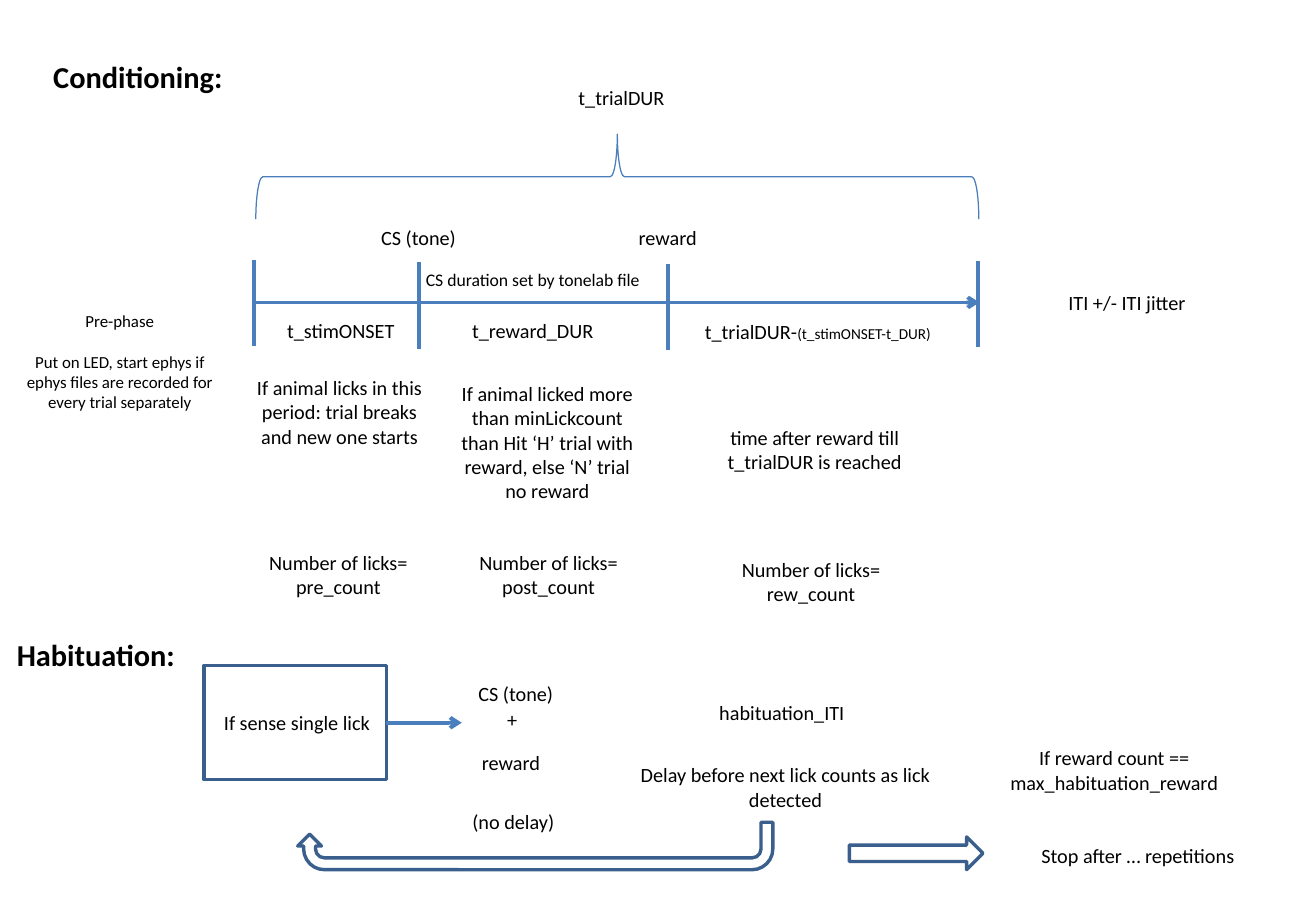
from lxml.etree import SubElement
from pptx import Presentation
from pptx.dml.color import RGBColor
from pptx.enum.shapes import MSO_CONNECTOR, MSO_SHAPE
from pptx.enum.text import PP_ALIGN
from pptx.oxml.ns import qn
from pptx.util import Emu, Pt

PX = 9144
BLACK = RGBColor(0x00, 0x00, 0x00)
BLUE = RGBColor(0x4B, 0x7E, 0xBC)
NAVY = RGBColor(0x3A, 0x5F, 0x8C)


class TrialDiagram:
    """Draws the parts of the trial diagram on one blank slide, in px of 1/100 inch."""

    font = {"name": "Calibri", "size": 12, "bold": False}

    def __init__(self, width, height):
        self.prs = Presentation()
        self.prs.slide_width, self.prs.slide_height = self.px(width, height)
        self.s = self.prs.slides.add_slide(self.prs.slide_layouts[6])

    def px(self, *lengths):
        return [Emu(n * PX) for n in lengths]

    def run(self, p, text, **style):
        r = p.add_run()
        r.text = text
        for name, value in {**self.font, **style}.items():
            setattr(r.font, name, Pt(value) if name == "size" else value)
        r.font.color.rgb = BLACK

    def text(self, x, y, *lines, w=173, h=30, align=PP_ALIGN.CENTER, gap=0, **style):
        tf = self.s.shapes.add_textbox(*self.px(x, y, w, h)).text_frame
        tf.word_wrap = True
        for i, line in enumerate(lines):
            p = tf.paragraphs[0] if i == 0 else tf.add_paragraph()
            p.alignment = align
            p.space_before = Pt(gap if i else 0)
            self.run(p, line, **style)
        return tf

    def heading(self, x, y, text):
        self.text(x, y, text, w=244, h=40, align=PP_ALIGN.LEFT, size=18, bold=True)

    def shape(self, kind, x, y, w, h, color=NAVY, width=2, rotation=0):
        sp = self.s.shapes.add_shape(kind, *self.px(x, y, w, h))
        sp.shadow.inherit = False
        sp.fill.background()
        sp.line.color.rgb = color
        sp.line.width = Pt(width)
        sp.rotation = rotation
        return sp

    def line(self, x1, y1, x2, y2, arrow=False):
        c = self.s.shapes.add_connector(MSO_CONNECTOR.STRAIGHT, *self.px(x1, y1, x2, y2))
        c.line.color.rgb = BLUE
        c.line.width = Pt(2.25)
        if arrow:
            SubElement(c.line._get_or_add_ln(), qn("a:tailEnd"), type="arrow")
        SubElement(c._element.spPr, qn("a:effectLst"))
        return c


def conditioning(d):
    d.heading(34, 43, "Conditioning:")
    d.text(425, 65, "t_trialDUR")
    d.shape(MSO_SHAPE.LEFT_BRACE, 473, -152, 70, 595, BLUE, 0.75, 90)
    d.line(209, 249, 806, 249, arrow=True)
    for x, top in ((209, 214), (345, 216), (550, 217), (805, 215)):
        d.line(x, top, x, top + 71)

    d.text(4, 251, "Pre-phase",
           "Put on LED, start ephys if ephys files are recorded for every trial separately",
           w=189, h=94, gap=12, size=10)
    d.text(258, 181, "CS (tone)")
    d.text(463, 181, "reward")
    d.text(337, 216, "CS duration set by tonelab file", w=203, h=28, size=10.5)
    d.text(841, 234, "ITI +/- ITI jitter")

    d.text(194, 257, "t_stimONSET")
    d.text(352, 257, "t_reward_DUR")
    tf = d.text(561, 258, "t_trialDUR-", w=224)
    d.run(tf.paragraphs[0], "(t_stimONSET-t_DUR)", size=9)

    d.text(193, 304, "If animal licks in this period: trial breaks and new one starts", h=71)
    d.text(364, 309, "If animal licked more than minLickcount than Hit ‘H’ trial with "
           "reward, else ‘N’ trial no reward", h=111)
    d.text(584, 345, "time after reward till t_trialDUR is reached", h=50)
    for x, y, count in ((192, 448, "pre"), (365, 448, "post"), (581, 454, "rew")):
        d.text(x, y, f"Number of licks= {count}_count", h=50)


def habituation(d):
    d.heading(4, 519, "Habituation:")
    lick = d.shape(MSO_SHAPE.RECTANGLE, 168, 548, 150, 94)
    d.text(173, 580, "If sense single lick", w=143)
    d.line(318, 595, 380, 595, arrow=True).begin_connect(lick, 3)

    d.text(338, 556, "CS (tone)")
    d.text(380, 577, "+", w=83)
    d.text(334, 613, "reward")
    d.text(336, 661, "(no delay)")
    d.text(557, 572, "habituation_ITI")
    d.text(510, 623, "Delay before next lick counts as lick detected", w=273, h=50)
    d.text(809, 609, "If reward count == max_habituation_reward", w=216, h=50)
    d.text(800, 689, "Stop after … repetitions", w=273)

    d.shape(MSO_SHAPE.U_TURN_ARROW, 245, 677, 391, 39, rotation=180)
    d.shape(MSO_SHAPE.RIGHT_ARROW, 699, 689, 110, 27)


def main():
    d = TrialDiagram(1083, 750)
    conditioning(d)
    habituation(d)
    d.prs.save("out.pptx")


if __name__ == "__main__":
    main()
